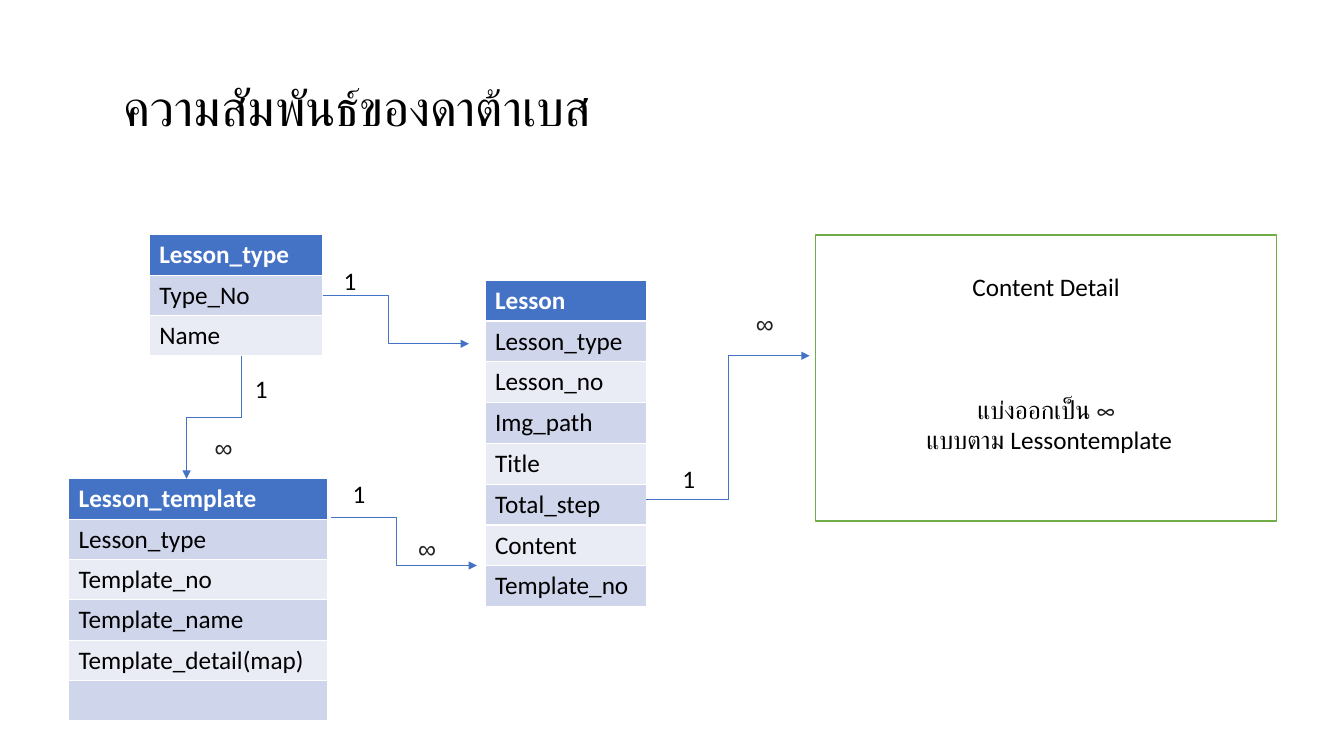
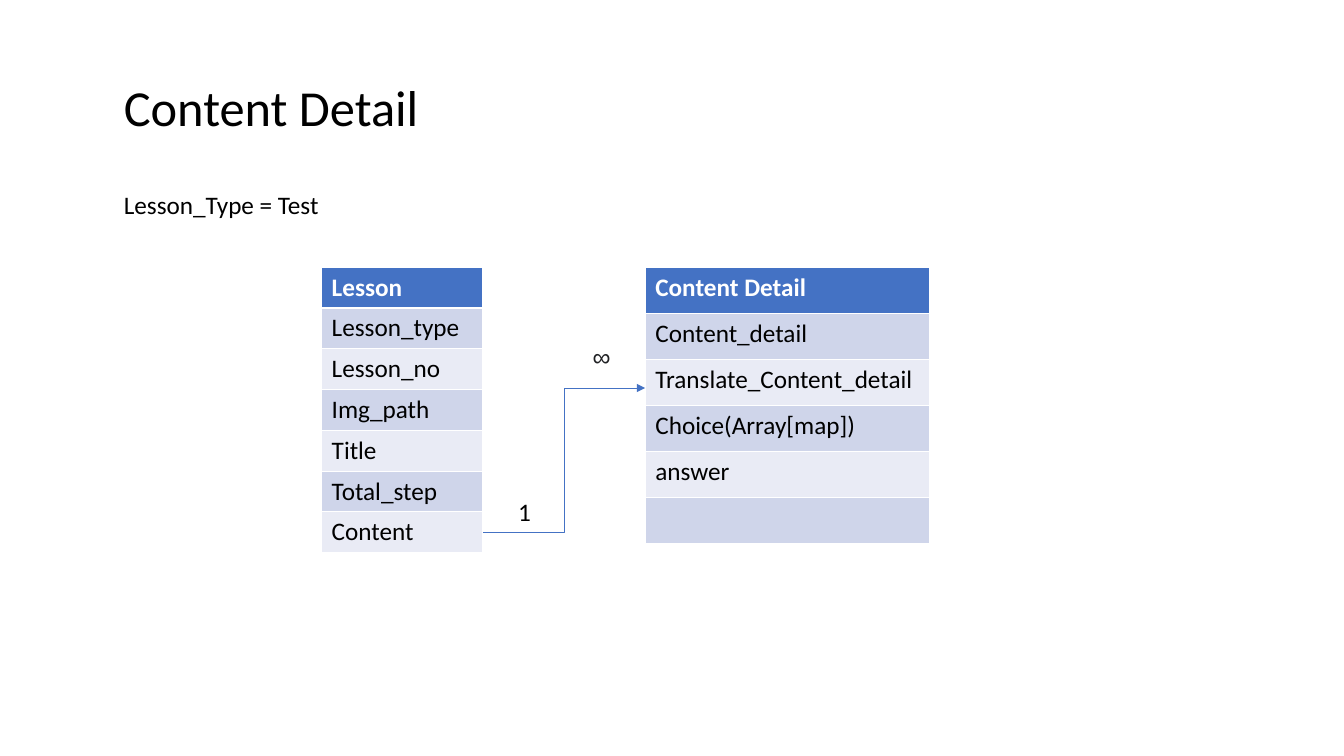
"""Build two slides that show the lesson database relations."""
from dataclasses import dataclass

from lxml import etree
from pptx import Presentation
from pptx.dml.color import RGBColor
from pptx.enum.shapes import MSO_CONNECTOR, MSO_SHAPE
from pptx.enum.text import MSO_ANCHOR, MSO_AUTO_SIZE, PP_ALIGN
from pptx.oxml.ns import qn
from pptx.slide import Slide
from pptx.text.text import Font
from pptx.util import Inches, Pt

ELBOW = MSO_CONNECTOR.ELBOW
RECTANGLE = MSO_SHAPE.RECTANGLE
MIDDLE = MSO_ANCHOR.MIDDLE
FIT_SHAPE = MSO_AUTO_SIZE.SHAPE_TO_FIT_TEXT
CENTER = PP_ALIGN.CENTER

WHITE = RGBColor(0xFF, 0xFF, 0xFF)
BLACK = RGBColor(0x00, 0x00, 0x00)
CHARCOAL = RGBColor(0x20, 0x21, 0x24)
BLUE = RGBColor(0x44, 0x72, 0xC4)
GREEN = RGBColor(0x70, 0xAD, 0x47)
ROW_FILLS = (RGBColor(0xCF, 0xD5, 0xEA), RGBColor(0xE9, 0xEB, 0xF5))

BODY_FONT = "Calibri"
SYMBOL_FONT = "Arial"
BODY_SIZE = 18
TITLE_SIZE = 36
MANY = "∞"
LESSON_FIELDS = ("Lesson_type", "Lesson_no", "Img_path", "Title", "Total_step", "Content")


@dataclass(frozen=True)
class Entity:
    name: str
    fields: tuple[str, ...]
    left: float
    top: float
    width: float
    row_height: float


@dataclass(frozen=True)
class Relation:
    begin: tuple[float, float]
    end: tuple[float, float]
    bend: float = 0.5
    downward: bool = False


@dataclass(frozen=True)
class Label:
    text: str
    left: float
    top: float
    width: float = 0.7
    height: float = 0.4
    size: int = BODY_SIZE


@dataclass(frozen=True)
class Diagram:
    title: str
    entities: tuple[Entity, ...]
    relations: tuple[Relation, ...]
    labels: tuple[Label, ...]


DIAGRAMS = (
    Diagram(
        "ความสัมพันธ์ของดาต้าเบส",
        (
            Entity("Lesson_type", ("Type_No", "Name"), 1.48, 2.33, 1.72, 0.4),
            Entity("Lesson", LESSON_FIELDS + ("Template_no",), 4.81, 2.78, 1.6, 0.405),
            Entity(
                "Lesson_template",
                ("Lesson_type", "Template_no", "Template_name", "Template_detail(map)", ""),
                0.68, 4.75, 2.57, 0.4,
            ),
        ),
        (
            Relation((3.2, 2.93), (4.65, 3.41), bend=0.45),
            Relation((6.41, 4.95), (8.03, 3.53)),
            Relation((2.39, 3.53), (1.85, 4.75), downward=True),
            Relation((3.28, 5.13), (4.73, 5.61), bend=0.45),
        ),
        (
            Label("1", 3.31, 2.58),
            Label(MANY, 4.05, 5.24),
            Label("1", 6.67, 4.55),
            Label(MANY, 7.4, 3.01),
            Label("1", 2.43, 3.65),
            Label(MANY, 2.03, 4.24),
            Label("1", 3.4, 4.7),
        ),
    ),
    Diagram(
        "Content Detail",
        (
            Entity("Lesson", LESSON_FIELDS, 3.19, 2.65, 1.6, 0.405),
            Entity(
                "Content Detail",
                ("Content_detail", "Translate_Content_detail", "Choice(Array[map])", "answer", ""),
                6.4, 2.65, 2.82, 0.457,
            ),
        ),
        (Relation((4.79, 5.28), (6.4, 3.85)),),
        (
            Label("Lesson_Type = Test", 1.13, 1.83, width=4.12),
            Label("1", 5.04, 4.87),
            Label(MANY, 5.78, 3.34),
        ),
    ),
)


def style_font(font: Font, color: RGBColor = BLACK, name: str = BODY_FONT,
               size: int = BODY_SIZE, bold: bool = False) -> None:
    """Apply typeface, size, weight and colour."""
    font.name = name
    font.size = Pt(size)
    font.bold = bold
    font.color.rgb = color


def add_label(slide: Slide, label: Label) -> None:
    """Add a text box, with the symbol font for the many sign."""
    box = slide.shapes.add_textbox(
        Inches(label.left), Inches(label.top), Inches(label.width), Inches(label.height)
    )
    frame = box.text_frame
    frame.word_wrap = True
    frame.auto_size = FIT_SHAPE
    paragraph = frame.paragraphs[0]
    paragraph.text = label.text
    if label.text == MANY:
        style_font(paragraph.font, CHARCOAL, SYMBOL_FONT, label.size)
    else:
        style_font(paragraph.font, size=label.size)


def add_entity(slide: Slide, entity: Entity) -> None:
    """Add a one-column table with a header and banded fields."""
    rows = (entity.name, *entity.fields)
    table = slide.shapes.add_table(
        len(rows), 1, Inches(entity.left), Inches(entity.top),
        Inches(entity.width), Inches(entity.row_height * len(rows)),
    ).table
    for index, text in enumerate(rows):
        header = index == 0
        cell = table.cell(index, 0)
        cell.fill.solid()
        cell.fill.fore_color.rgb = BLUE if header else ROW_FILLS[(index - 1) % 2]
        paragraph = cell.text_frame.paragraphs[0]
        if text:
            paragraph.text = text
        style_font(paragraph.font, WHITE if header else BLACK, bold=header)


def add_relation(slide: Slide, relation: Relation) -> None:
    """Add an elbow arrow, turned a quarter when it leaves downward."""
    (begin_x, begin_y), (end_x, end_y) = relation.begin, relation.end
    if relation.downward:
        center_x, center_y = (begin_x + end_x) / 2, (begin_y + end_y) / 2
        half_length, half_drop = (end_y - begin_y) / 2, (begin_x - end_x) / 2
        begin_x, end_x = center_x - half_length, center_x + half_length
        begin_y, end_y = center_y - half_drop, center_y + half_drop
    connector = slide.shapes.add_connector(
        ELBOW, Inches(begin_x), Inches(begin_y), Inches(end_x), Inches(end_y)
    )
    connector.line.color.rgb = BLUE
    connector.line.width = Pt(0.5)
    properties = connector.element.spPr
    if relation.downward:
        properties.find(qn("a:xfrm")).set("rot", str(90 * 60000))
    adjustments = next(properties.iter(qn("a:avLst")))
    etree.SubElement(
        adjustments, qn("a:gd"), name="adj1", fmla=f"val {round(relation.bend * 100000)}"
    )
    etree.SubElement(properties.find(qn("a:ln")), qn("a:tailEnd"), type="triangle")
    etree.SubElement(properties, qn("a:effectLst"))


def add_content_box(slide: Slide) -> None:
    """Add the outlined box that describes the content detail."""
    box = slide.shapes.add_shape(
        RECTANGLE, Inches(8.09), Inches(2.33), Inches(4.57), Inches(2.84)
    )
    box.shadow.inherit = False
    box.fill.solid()
    box.fill.fore_color.rgb = WHITE
    box.line.color.rgb = GREEN
    box.line.width = Pt(1)
    frame = box.text_frame
    frame.word_wrap = True
    frame.vertical_anchor = MIDDLE
    frame.margin_bottom = Inches(0.35)
    heading = frame.paragraphs[0]
    heading.text = "Content Detail"
    division = frame.add_paragraph()
    division.space_before = Pt(66)
    for text, color, name in (
        ("แบ่งออกเป็น ", BLACK, BODY_FONT),
        (MANY, CHARCOAL, SYMBOL_FONT),
    ):
        run = division.add_run()
        run.text = text
        style_font(run.font, color, name)
    template = frame.add_paragraph()
    template.text = " แบบตาม Lessontemplate"
    for paragraph in (heading, template):
        style_font(paragraph.font)
    for paragraph in frame.paragraphs:
        paragraph.alignment = CENTER


def add_diagram(presentation: Presentation, diagram: Diagram) -> Slide:
    """Add a slide with its title, tables, arrows and labels."""
    slide = presentation.slides.add_slide(presentation.slide_layouts[6])
    add_label(slide, Label(diagram.title, 1.13, 0.71, 5.44, 0.71, TITLE_SIZE))
    for entity in diagram.entities:
        add_entity(slide, entity)
    for relation in diagram.relations:
        add_relation(slide, relation)
    for label in diagram.labels:
        add_label(slide, label)
    return slide


def main() -> None:
    """Build and save the presentation."""
    presentation = Presentation()
    presentation.slide_width = Inches(13.33)
    presentation.slide_height = Inches(7.5)
    overview, _ = [add_diagram(presentation, diagram) for diagram in DIAGRAMS]
    add_content_box(overview)
    presentation.save("out.pptx")


main()
